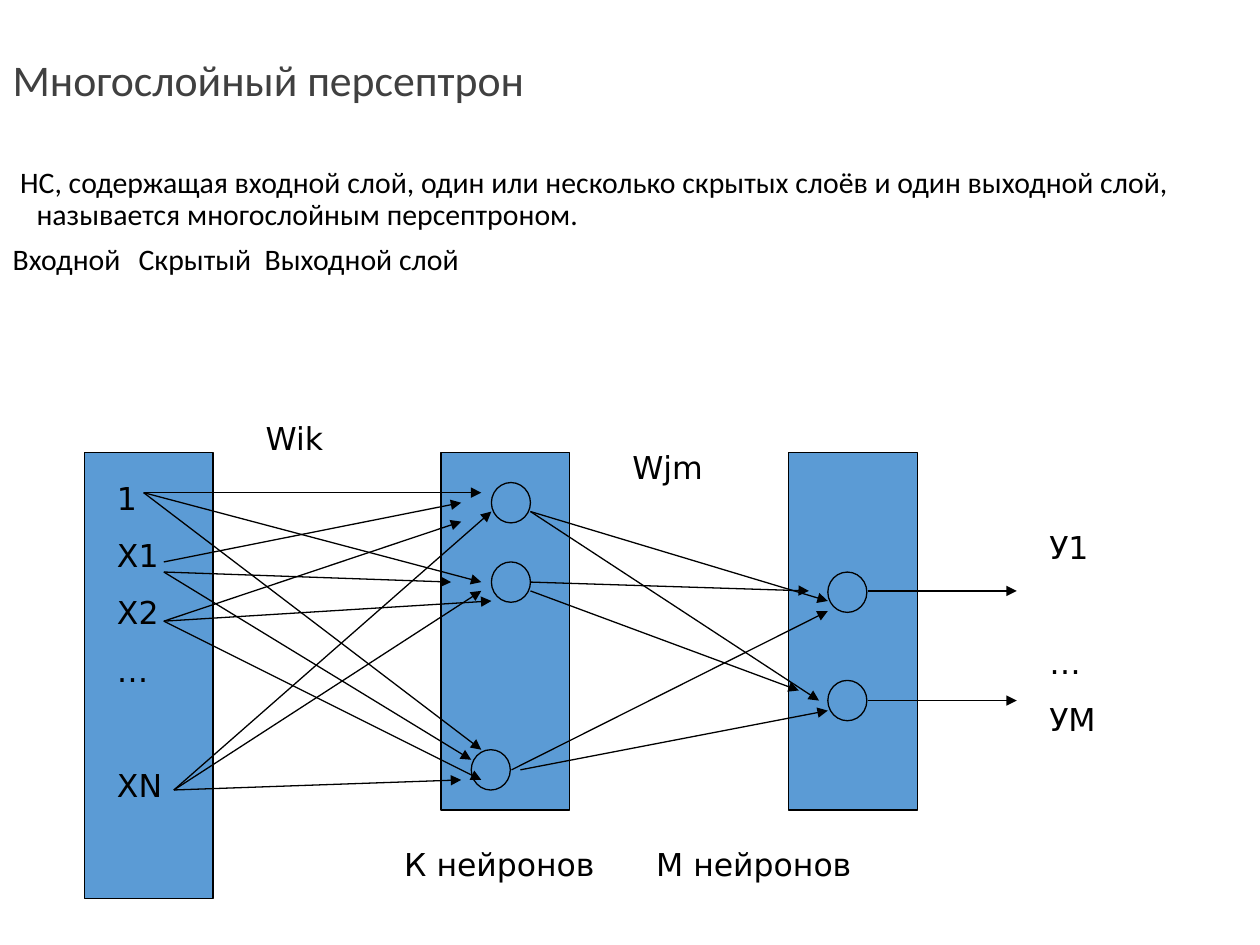
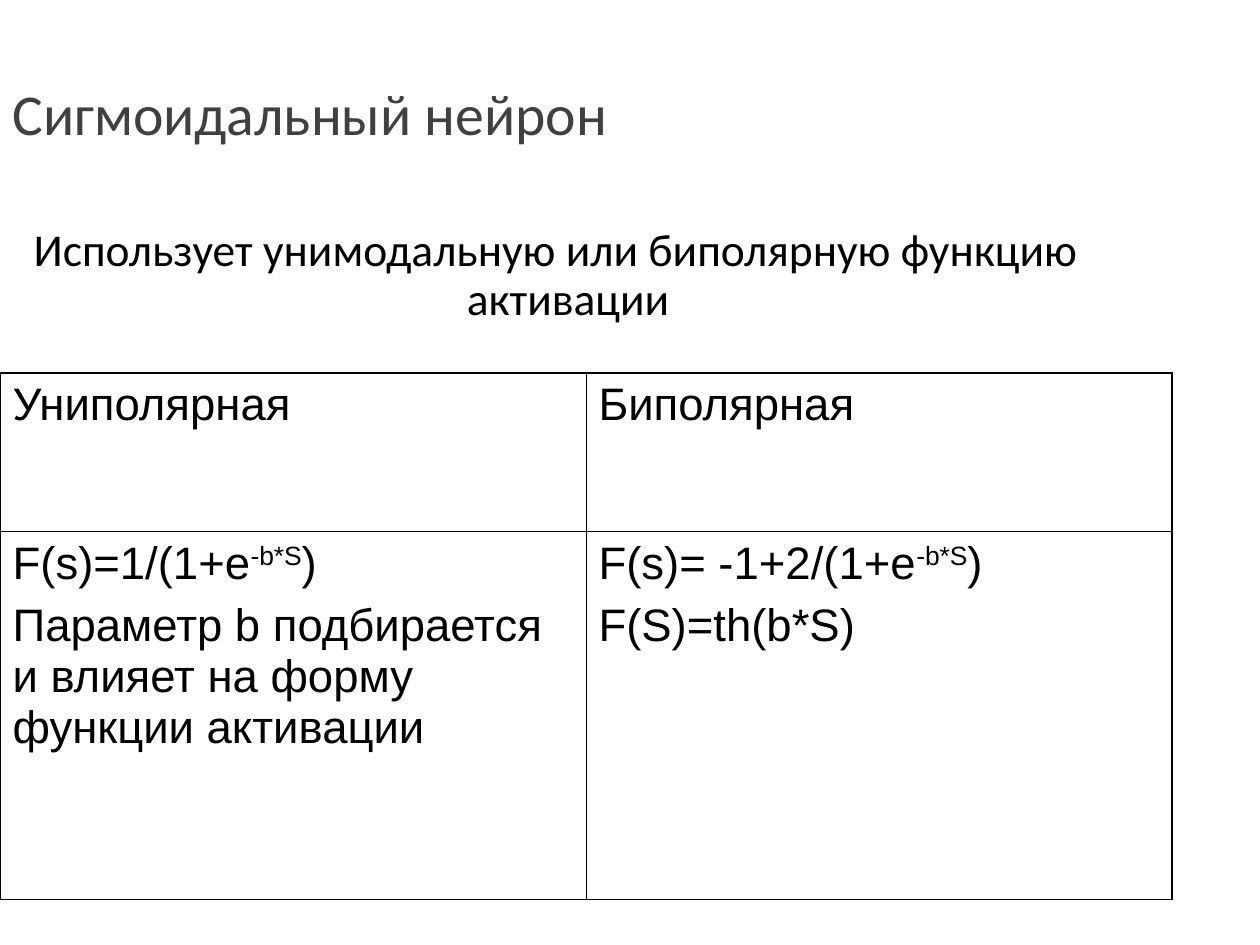
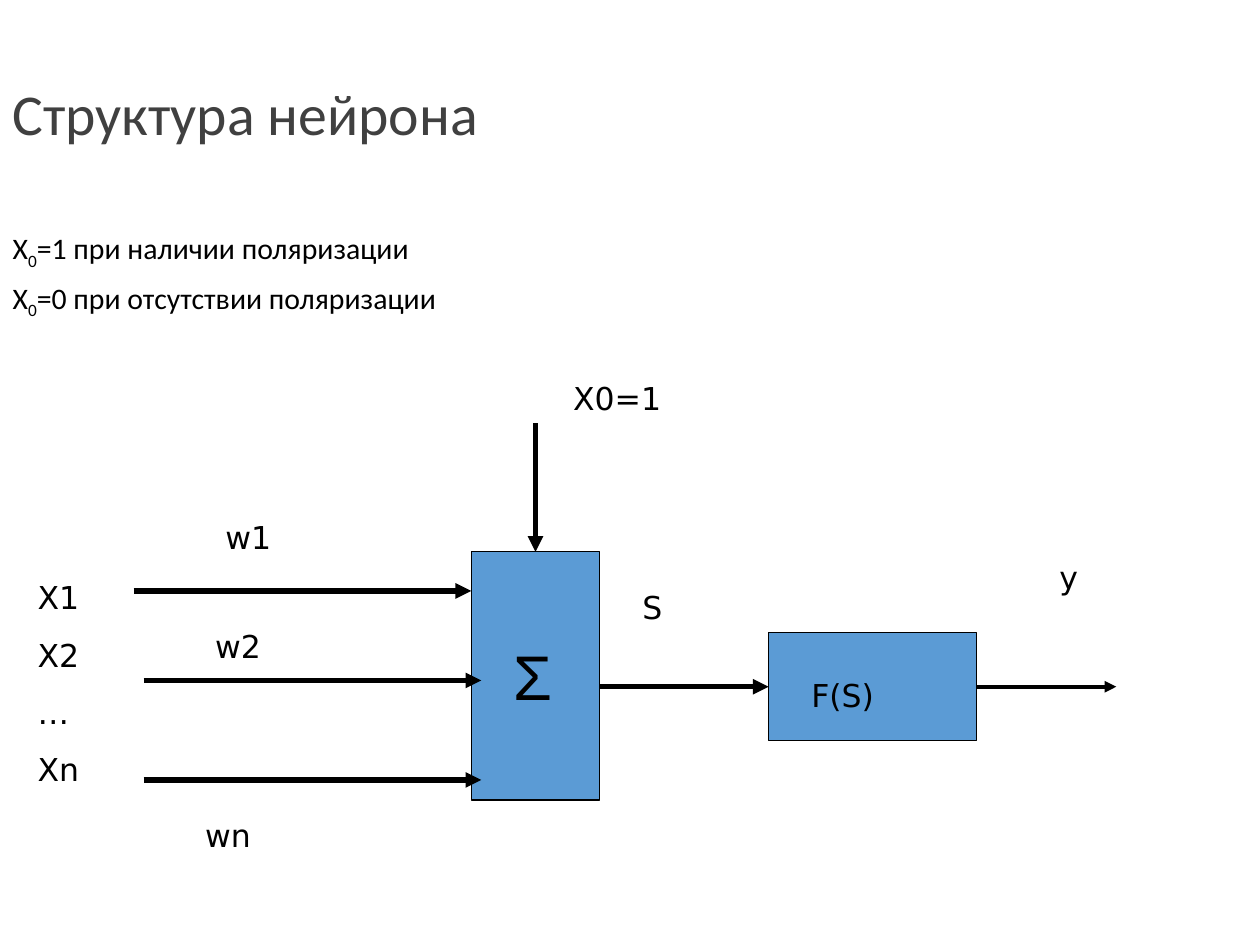
from dataclasses import dataclass
from typing import Any, NamedTuple, Optional

import lxml.etree
import pptx
import pptx.dml.color
import pptx.enum.shapes
import pptx.enum.text
import pptx.oxml.ns
import pptx.util


@dataclass(frozen=True)
class Theme:
    ink: str = "000000"
    title: str = "404040"
    block: str = "5B9BD5"
    heading_font: str = "Calibri"
    label_font: str = "DejaVu Sans"
    table_font: str = "Arial"
    title_size: float = 33
    small_title_size: float = 25
    statement_size: float = 26
    body_size: float = 17
    label_size: float = 18
    sum_size: float = 36
    thin: float = 0.75
    medium: float = 2.25
    thick: float = 3
    outer_border: float = 1.08
    inner_border: float = 0.45
    body_gap: float = 7.5
    label_gap: float = 11.2
    skipped_row_gap: float = 44
    cell_gap: float = 6.5


THEME = Theme()
SHAPES = pptx.enum.shapes.MSO_SHAPE
ALIGN = pptx.enum.text.PP_ALIGN
ANCHOR = pptx.enum.text.MSO_ANCHOR
FIT = pptx.enum.text.MSO_AUTO_SIZE


class Box(NamedTuple):
    left: float
    top: float
    width: float
    height: float


class Piece(NamedTuple):
    text: str
    baseline: int = 0


class Style(NamedTuple):
    font: str
    size: float
    color: str = THEME.ink


@dataclass(frozen=True)
class Line:
    pieces: tuple[Piece, ...]
    before: float = 0
    margin: float = 0
    indent: float = 0
    spacing: float = 1.0
    align: Any = ALIGN.LEFT
    tabs: tuple[float, ...] = ()


@dataclass(frozen=True)
class Label:
    box: Box
    lines: tuple[Line, ...]
    style: Style = Style(THEME.label_font, THEME.label_size)


class Arrow(NamedTuple):
    start: tuple[float, float]
    end: tuple[float, float]
    weight: float = THEME.thin


def apply(target: Any, values: dict[str, Any]) -> None:
    for name, value in values.items():
        setattr(target, name, value)


def rgb(color: str) -> pptx.dml.color.RGBColor:
    return pptx.dml.color.RGBColor.from_string(color)


def inches(values: tuple[float, ...]) -> list[pptx.util.Length]:
    return [pptx.util.Inches(value) for value in values]


def add_xml(parent: Any, tag: str, **attributes: Any) -> Any:
    child = lxml.etree.SubElement(parent, pptx.oxml.ns.qn(tag))
    for name, value in attributes.items():
        child.set(name, str(int(value)) if isinstance(value, int) else value)
    return child


def plain(text: str, **layout: Any) -> Line:
    return Line((Piece(text),), **layout)


def label(left: float, top: float, width: float, *texts: str, height: float = 0.4) -> Label:
    lines = tuple(
        plain(text, before=THEME.label_gap if row else 0) for row, text in enumerate(texts)
    )
    return Label(Box(left, top, width, height), lines)


def write(frame: Any, lines: tuple[Line, ...], style: Style) -> None:
    for row, line in enumerate(lines):
        paragraph = frame.add_paragraph() if row else frame.paragraphs[0]
        properties = paragraph._p.get_or_add_pPr()
        properties.set("marL", str(pptx.util.Inches(line.margin)))
        properties.set("indent", str(pptx.util.Inches(line.indent)))
        add_xml(properties, "a:buNone")
        if line.tabs:
            stops = add_xml(properties, "a:tabLst")
            for stop in line.tabs:
                add_xml(stops, "a:tab", pos=pptx.util.Inches(stop), algn="l")
        apply(paragraph, {
            "alignment": line.align,
            "line_spacing": line.spacing,
            "space_before": pptx.util.Pt(line.before),
            "space_after": pptx.util.Pt(0),
        })
        for piece in line.pieces:
            run = paragraph.add_run()
            run.text = piece.text
            apply(run.font, {"name": style.font, "size": pptx.util.Pt(style.size)})
            run.font.color.rgb = rgb(style.color)
            if piece.baseline:
                run._r.get_or_add_rPr().set("baseline", str(piece.baseline * 1000))


def fill_placeholder(
    placeholder: Any, box: Box, lines: tuple[Line, ...], style: Style, anchor: Any
) -> None:
    apply(placeholder, dict(zip(Box._fields, inches(box))))
    apply(placeholder.text_frame, {
        "word_wrap": True, "auto_size": FIT.NONE, "vertical_anchor": anchor,
    })
    write(placeholder.text_frame, lines, style)


def add_topic(
    deck: Any, title: str, body_box: Box, body: tuple[Line, ...], body_size: float,
    title_height: float = 1.25, title_size: float = THEME.title_size,
) -> Any:
    slide = deck.slides.add_slide(deck.slide_layouts[1])
    fill_placeholder(
        slide.shapes.title, Box(0, 0.3, 9, title_height), (plain(title, spacing=0.9),),
        Style(THEME.heading_font, title_size, THEME.title), ANCHOR.MIDDLE,
    )
    fill_placeholder(
        slide.placeholders[1], body_box, body,
        Style(THEME.heading_font, body_size), ANCHOR.TOP,
    )
    return slide


def add_block(slide: Any, box: Box, kind: Any = SHAPES.RECTANGLE) -> Any:
    block = slide.shapes.add_shape(kind, *inches(box))
    block.shadow.inherit = False
    block.fill.solid()
    block.fill.fore_color.rgb = rgb(THEME.block)
    block.line.color.rgb = rgb(THEME.ink)
    block.line.width = pptx.util.Pt(THEME.thin)
    return block


def add_label(slide: Any, item: Label) -> None:
    frame = slide.shapes.add_textbox(*inches(item.box)).text_frame
    apply(frame, {"word_wrap": True, "auto_size": FIT.SHAPE_TO_FIT_TEXT})
    write(frame, item.lines, item.style)


def add_arrow(
    slide: Any, arrow: Arrow,
    source: Optional[tuple[Any, int]] = None, target: Optional[tuple[Any, int]] = None,
) -> None:
    connector = slide.shapes.add_connector(
        pptx.enum.shapes.MSO_CONNECTOR.STRAIGHT, *inches(arrow.start + arrow.end)
    )
    if source:
        connector.begin_connect(*source)
    if target:
        connector.end_connect(*target)
    connector.line.color.rgb = rgb(THEME.ink)
    connector.line.width = pptx.util.Pt(arrow.weight)
    add_xml(connector.get_or_add_ln(), "a:tailEnd", type="triangle")
    add_xml(connector._element.spPr, "a:effectLst")


def add_border(cell: Any, position: int, side: str, weight: float) -> None:
    properties = cell._tc.get_or_add_tcPr()
    border = add_xml(properties, f"a:ln{side}", w=pptx.util.Pt(weight))
    add_xml(add_xml(border, "a:solidFill"), "a:srgbClr", val=THEME.ink)
    properties.insert(position, border)


def add_perceptron(deck: Any) -> None:
    body = (
        plain(
            "НС, содержащая входной слой, один или несколько скрытых слоёв и один "
            "выходной слой, называется многослойным персептроном.",
            margin=0.19, indent=-0.13, spacing=0.9,
        ),
        plain(
            "Входной\tСкрытый\tВыходной слой",
            before=THEME.body_gap, spacing=0.9, tabs=(1.97, 3.57),
        ),
    )
    slide = add_topic(
        deck, "Многослойный персептрон", Box(0, 1.28, 9.5, 6.22), body, THEME.body_size,
        title_height=0.7, title_size=THEME.small_title_size,
    )
    for left, height in ((0.67, 3.54), (3.5, 2.84), (6.26, 2.84)):
        add_block(slide, Box(left, 3.59, 1.02, height))
    for left, top in ((3.9, 3.83), (3.9, 4.46), (3.74, 5.95), (6.57, 4.54), (6.57, 5.4)):
        add_block(slide, Box(left, top, 0.31, 0.32), SHAPES.OVAL)

    signals = {
        (1.14, 3.91): ((3.82, 3.91), (3.82, 4.62), (3.82, 5.95)),
        (1.3, 4.46): ((3.66, 3.99),),
        (1.3, 4.54): ((3.58, 4.62), (3.74, 6.03)),
        (1.3, 4.93): ((3.66, 4.14), (3.9, 4.77), (3.82, 6.19)),
        (1.38, 6.27): ((3.66, 6.19), (3.82, 4.69), (3.9, 4.06)),
        (4.21, 4.06): ((6.57, 4.77), (6.5, 5.56)),
        (4.21, 4.62): ((6.42, 4.69),),
        (4.21, 4.69): ((6.34, 5.48),),
        (4.06, 6.11): ((6.57, 4.85),),
        (4.13, 6.11): ((6.57, 5.64),),
        (6.89, 4.69): ((8.07, 4.69),),
        (6.89, 5.56): ((8.07, 5.56),),
    }
    for start, ends in signals.items():
        for end in ends:
            add_arrow(slide, Arrow(start, end))

    gap, skipped = THEME.label_gap, THEME.skipped_row_gap
    inputs = (
        plain("1"), plain("Х1", before=gap), plain("Х2", before=gap),
        plain("…", before=gap), plain("ХN", before=skipped),
    )
    outputs = (plain("У1"), plain("…", before=skipped), plain("УМ", before=gap))
    neuron_counts = (plain("К нейронов\tМ нейронов", tabs=(2.85,)),)
    for item in (
        Label(Box(0.83, 3.75, 0.63, 3.14), inputs),
        Label(Box(8.23, 4.14, 0.87, 1.77), outputs),
        Label(Box(3.11, 6.66, 5.43, 0.4), neuron_counts),
        label(2.01, 3.28, 0.79, "Wik"),
        label(4.92, 3.51, 0.87, "Wjm"),
    ):
        add_label(slide, item)


def add_sigmoid(deck: Any) -> None:
    statement = plain(
        "Использует унимодальную или биполярную функцию активации",
        margin=0.19, indent=-0.19, spacing=0.9, align=ALIGN.CENTER,
    )
    slide = add_topic(
        deck, "Сигмоидальный нейрон", Box(0, 1.75, 8.83, 2.35), (statement,),
        THEME.statement_size,
    )
    exponent = (Piece("-b*S", 30), Piece(")"))
    functions = (
        ((plain("Униполярная"),), (plain("Биполярная"),)),
        (
            (
                Line((Piece("F(s)=1/(1+e"), *exponent)),
                plain(
                    "Параметр b подбирается и влияет на форму функции активации",
                    before=THEME.cell_gap,
                ),
            ),
            (
                Line((Piece("F(s)= -1+2/(1+e"), *exponent)),
                plain("F(S)=th(b*S)", before=THEME.cell_gap),
            ),
        ),
    )
    table = slide.shapes.add_table(2, 2, *inches(Box(0, 2.96, 9.3, 4.18))).table
    apply(table, {"first_row": False, "horz_banding": False})
    for column in table.columns:
        column.width = pptx.util.Inches(4.65)
    for row, height in zip(table.rows, (1.26, 2.92)):
        row.height = pptx.util.Inches(height)
    outer, inner = THEME.outer_border, THEME.inner_border
    for row, entries in enumerate(functions):
        for column, lines in enumerate(entries):
            cell = table.cell(row, column)
            cell.fill.background()
            write(cell.text_frame, lines, Style(THEME.table_font, THEME.statement_size))
            edges = {"L": column == 0, "R": column == 1, "T": row == 0, "B": row == 1}
            for position, (side, is_outer) in enumerate(edges.items()):
                add_border(cell, position, side, outer if is_outer else inner)


def add_neuron(deck: Any) -> None:
    polarization = tuple(
        Line(
            (Piece("Х"), Piece("0", -25), Piece(text)),
            before=before, margin=0.19, indent=-0.19, spacing=0.9,
        )
        for text, before in (
            ("=1 при наличии поляризации", 0),
            ("=0 при отсутствии поляризации", THEME.body_gap),
        )
    )
    slide = add_topic(
        deck, "Структура нейрона", Box(0, 1.78, 9.53, 4.87), polarization, THEME.body_size
    )
    adder = add_block(slide, Box(3.74, 4.38, 1.02, 1.97))
    activation = add_block(slide, Box(6.1, 5.02, 1.65, 0.86))
    axis = 5.45
    for left, right, height in ((1.06, 3.74, 4.69), (1.14, 3.82, 5.4), (1.14, 3.82, 6.19)):
        add_arrow(slide, Arrow((left, height), (right, height), THEME.thick))
    add_arrow(slide, Arrow((4.25, 3.36), (4.25, 4.38), THEME.thick), target=(adder, 0))
    add_arrow(slide, Arrow((4.76, axis), (6.1, axis), THEME.thick), target=(activation, 1))
    add_arrow(slide, Arrow((7.75, axis), (8.86, axis), THEME.medium), source=(activation, 3))
    for item in (
        Label(
            Box(3.98, 5.01, 0.63, 0.7), (plain("Σ"),), Style(THEME.table_font, THEME.sum_size)
        ),
        label(0.2, 4.54, 0.79, "Х1", "Х2", "…", "Хn", height=1.77),
        label(4.45, 2.96, 1.02, "Х0=1"),
        label(6.34, 5.32, 1.18, "F(S)"),
        label(1.69, 4.06, 0.94, "w1"),
        label(1.61, 4.93, 1.26, "w2"),
        label(1.53, 6.43, 1.42, "wn"),
        label(5, 4.62, 0.63, "S"),
        label(8.31, 4.38, 0.79, "y"),
    ):
        add_label(slide, item)


def main() -> None:
    deck = pptx.Presentation()
    apply(deck, {
        "slide_width": pptx.util.Inches(10), "slide_height": pptx.util.Inches(7.5),
    })
    add_perceptron(deck)
    add_sigmoid(deck)
    add_neuron(deck)
    deck.save("out.pptx")


if __name__ == "__main__":
    main()
